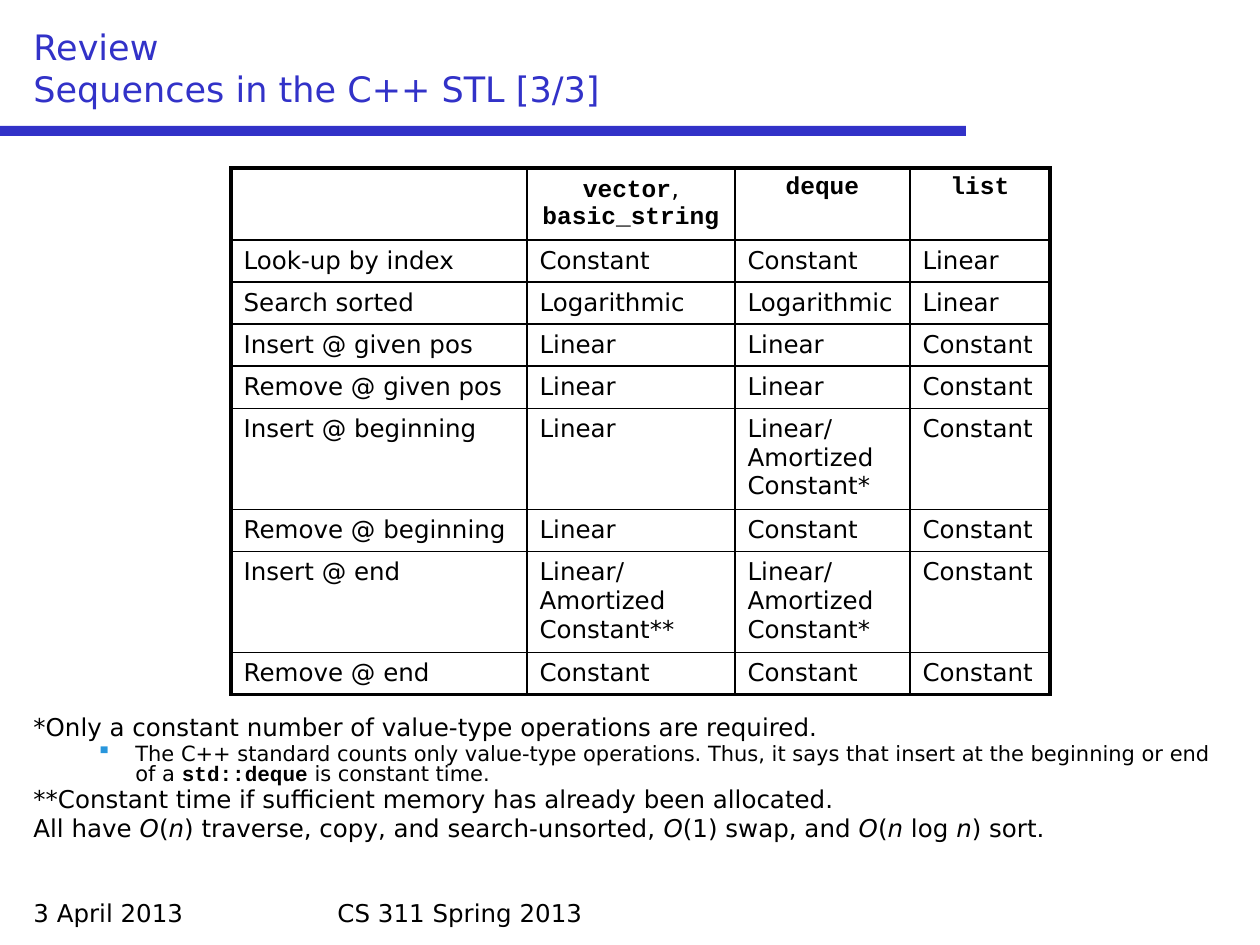
import copy

import lxml.etree
import pptx
import pptx.dml.color
import pptx.enum.shapes
import pptx.enum.text
import pptx.oxml.ns
import pptx.util

PX = 914400 / 126
BLUE = pptx.dml.color.RGBColor(0x32, 0x32, 0xC8)
BLACK = pptx.dml.color.RGBColor(0, 0, 0)
BULLET_BLUE = pptx.dml.color.RGBColor(0x28, 0x96, 0xDC)
SANS, MONO = "DejaVu Sans", "Courier New"
CODE = {"name": MONO, "bold": True}
ITALIC = {"italic": True}
CENTER = pptx.enum.text.PP_ALIGN.CENTER

COLUMNS = [296, 208, 175, 140]
ROW, ROW_HEADER, ROW_TALL = 42, 72, 101
HEADER = [
    [],
    [("vector", CODE), (",\n", {}), ("basic_string", CODE)],
    [("deque", CODE)],
    [("list", CODE)],
]
AMORTIZED = "Linear/\nAmortized\nConstant*"
COSTS = [
    ("Look-up by index", "Constant", "Constant", "Linear"),
    ("Search sorted", "Logarithmic", "Logarithmic", "Linear"),
    ("Insert @ given pos", "Linear", "Linear", "Constant"),
    ("Remove @ given pos", "Linear", "Linear", "Constant"),
    ("Insert @ beginning", "Linear", AMORTIZED, "Constant"),
    ("Remove @ beginning", "Linear", "Constant", "Constant"),
    ("Insert @ end", AMORTIZED + "*", AMORTIZED, "Constant"),
    ("Remove @ end", "Constant", "Constant", "Constant"),
]
# Each note: size, bulleted, spans
NOTES = [
    (14, False, [("*Only a constant number of value-type operations are required.", {})]),
    (12, True, [
        ("The C++ standard counts only value-type operations. Thus, it says that "
         "insert at the beginning or end of a ", {}),
        ("std::deque", CODE), (" is constant time.", {})]),
    (14, False, [("**Constant time if sufficient memory has already been allocated.", {})]),
    (14, False, [
        ("All have ", {}), ("O", ITALIC), ("(", {}), ("n", ITALIC),
        (") traverse, copy, and search-unsorted, ", {}), ("O", ITALIC),
        ("(1) swap, and ", {}), ("O", ITALIC), ("(", {}), ("n", ITALIC),
        (" log ", {}), ("n", ITALIC), (") sort.", {})]),
]


def px(length):
    return pptx.util.Emu(round(length * PX))


def add_spans(para, spans, size=14, color=BLACK):
    for text, changes in spans:
        for number, line in enumerate(text.split("\n")):
            if number:
                para.add_line_break()
                para._p[-1].append(copy.deepcopy(span.font._rPr))
            if not line:
                continue
            span = para.add_run()
            span.text = line
            span.font.color.rgb = color
            style = {"name": SANS, "size": pptx.util.Pt(size), **changes}
            for key, value in style.items():
                setattr(span.font, key, value)


def add_text_box(page, box, anchor=pptx.enum.text.MSO_ANCHOR.TOP):
    frame = page.shapes.add_textbox(*map(px, box)).text_frame
    frame.word_wrap = True
    frame.vertical_anchor = anchor
    return frame


def add_heading(page, box):
    left, top, width, height = box
    frame = add_text_box(page, (left + 21, top + 21, width - 42, 95),
                         pptx.enum.text.MSO_ANCHOR.BOTTOM)
    add_spans(frame.paragraphs[0], [("Review\nSequences in the C++ STL [3/3]", {})], 20, BLUE)
    # Rule under the title
    bar = page.shapes.add_shape(pptx.enum.shapes.MSO_SHAPE.RECTANGLE,
                                px(left), px(top + height - 10), px(966), px(10))
    bar.shadow.inherit = False
    bar.fill.solid()
    bar.fill.fore_color.rgb = BLUE
    bar.line.fill.background()


def set_borders(cell, widths):
    properties = cell._tc.get_or_add_tcPr()
    for index, (side, width) in enumerate(widths.items()):
        line = lxml.etree.Element(pptx.oxml.ns.qn("a:ln" + side),
                                  w=str(pptx.util.Pt(width)))
        fill = lxml.etree.SubElement(line, pptx.oxml.ns.qn("a:solidFill"))
        lxml.etree.SubElement(fill, pptx.oxml.ns.qn("a:srgbClr"), val=str(BLACK))
        properties.insert(index, line)


def add_cost_table(page, box):
    rows = [HEADER] + [[[(text, {})] for text in row] for row in COSTS]
    table = page.shapes.add_table(len(rows), len(COLUMNS), *map(px, box)).table
    table.first_row = table.horz_banding = False
    for column, width in zip(table.columns, COLUMNS):
        column.width = px(width)
    last_row, last_column = len(rows) - 1, len(COLUMNS) - 1
    for r, row in enumerate(rows):
        tall = any("\n" in text for spans in row for text, _ in spans)
        table.rows[r].height = px(ROW_HEADER if r == 0 else ROW_TALL if tall else ROW)
        for c, spans in enumerate(row):
            cell = table.cell(r, c)
            cell.fill.background()
            para = cell.text_frame.paragraphs[0]
            if r == 0:
                para.alignment = CENTER
            add_spans(para, spans)
            outer = {"L": c == 0, "R": c == last_column, "T": r == 0, "B": r == last_row}
            set_borders(cell, {side: 2.25 if edge else 1 for side, edge in outer.items()})


def add_bullet(para):
    properties = para._p.get_or_add_pPr()
    properties.set("marL", str(px(102)))
    properties.set("indent", str(px(-39)))
    color = lxml.etree.SubElement(properties, pptx.oxml.ns.qn("a:buClr"))
    lxml.etree.SubElement(color, pptx.oxml.ns.qn("a:srgbClr"), val=str(BULLET_BLUE))
    lxml.etree.SubElement(properties, pptx.oxml.ns.qn("a:buChar"), char="▪")


def add_notes(page, box):
    frame = add_text_box(page, box)
    for index, (size, bulleted, spans) in enumerate(NOTES):
        para = frame.add_paragraph() if index else frame.paragraphs[0]
        layout = {"line_spacing": 0.8, "space_before": pptx.util.Pt(size * 0.2)}
        for key, value in layout.items():
            setattr(para, key, value)
        if bulleted:
            add_bullet(para)
        add_spans(para, spans, size)


def add_footer(page, box):
    left, top, width, height = box
    for text, offset, part in [("3 April 2013", 0, 294), ("CS 311 Spring 2013", 304, 609)]:
        frame = add_text_box(page, (left + offset, top, part, height))
        add_spans(frame.paragraphs[0], [(text, {})])


def main():
    deck = pptx.Presentation()
    deck.slide_width, deck.slide_height = px(1260), px(945)
    page = deck.slides.add_slide(deck.slide_layouts[6])
    add_heading(page, (0, 0, 1260, 136))
    add_cost_table(page, (231, 168, 819, 526))
    add_notes(page, (21, 711, 1218, 171))
    add_footer(page, (21, 892, 1218, 42))
    deck.save("out.pptx")


if __name__ == "__main__":
    main()
